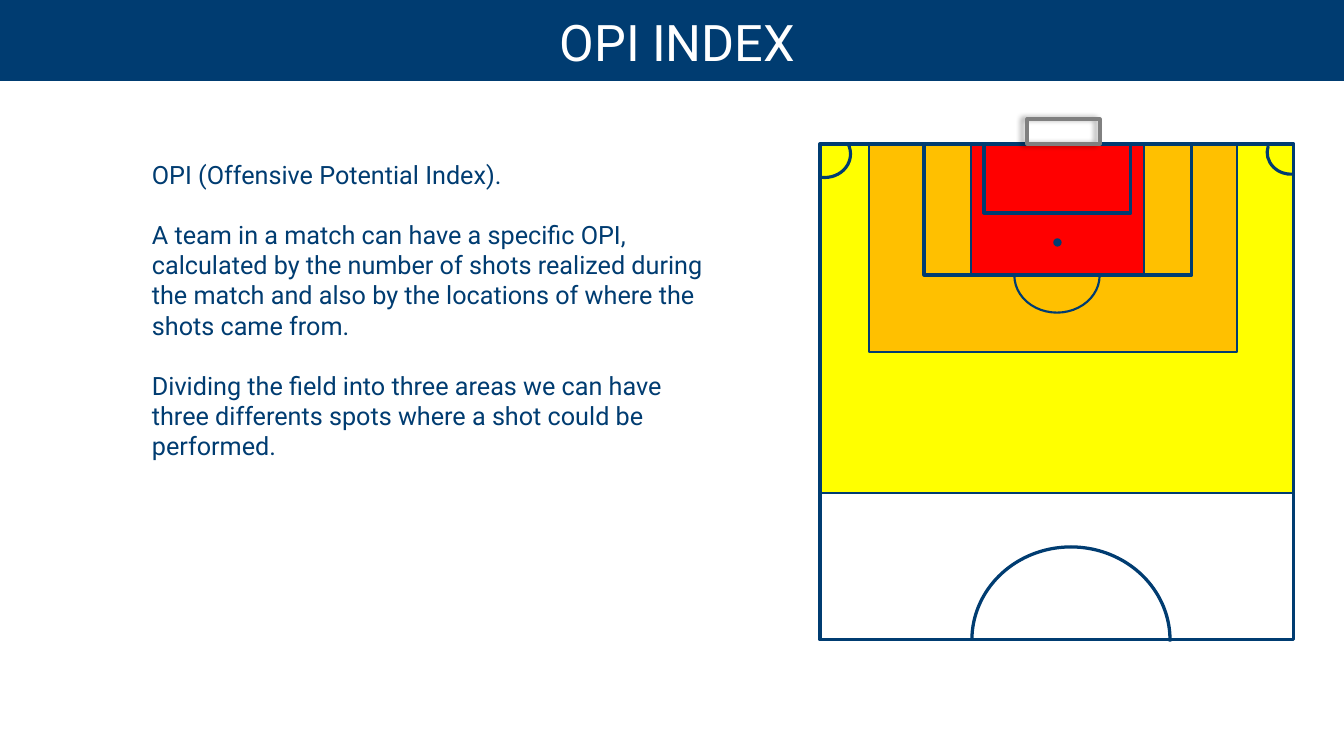
from dataclasses import dataclass

from lxml.etree import SubElement
from pptx import Presentation
from pptx.dml.color import RGBColor
from pptx.enum.shapes import MSO_SHAPE as Shape
from pptx.enum.text import MSO_ANCHOR as Anchor, PP_ALIGN as Align
from pptx.oxml.ns import qn
from pptx.util import Emu, Pt

EMU_PER_PX = 914400 / 100.8


@dataclass(frozen=True)
class Theme:
    font: str = "Roboto"
    title_size: float = 36
    body_size: float = 18
    thin: float = 1
    thick: float = 2.25
    navy: str = "003C71"
    white: str = "FFFFFF"
    low: str = "FFFF00"
    medium: str = "FFC000"
    high: str = "FF0000"
    goal: str = "808080"
    shadow: str = "000000"


THEME = Theme()


def px(length):
    return Emu(round(length * EMU_PER_PX))


def add_shape(slide, kind, box, fill=None, line=THEME.navy, width=THEME.thin,
              rotation=0, adjustments=()):
    shape = slide.shapes.add_shape(kind, *map(px, box))
    shape.shadow.inherit = False
    shape.rotation = rotation
    for index, value in enumerate(adjustments):
        shape.adjustments[index] = value
    if fill:
        shape.fill.solid()
        shape.fill.fore_color.rgb = RGBColor.from_string(fill)
    else:
        shape.fill.background()
    shape.line.color.rgb = RGBColor.from_string(line)
    shape.line.width = Pt(width)
    return shape


def add_text(slide, box, paragraphs, size, color, align=Align.LEFT,
             anchor=Anchor.TOP, line_spacing=1.0, gap=0):
    frame = slide.shapes.add_textbox(*map(px, box)).text_frame
    frame.word_wrap = True
    frame.vertical_anchor = anchor
    for index, text in enumerate(paragraphs):
        paragraph = frame.add_paragraph() if index else frame.paragraphs[0]
        paragraph.alignment = align
        paragraph.line_spacing = line_spacing
        if index:
            paragraph.space_before = Pt(gap)
        run = paragraph.add_run()
        run.text = text
        run.font.name = THEME.font
        run.font.size = Pt(size)
        run.font.color.rgb = RGBColor.from_string(color)


def add_left_shadow(shape):
    effects = shape._element.spPr.find(qn("a:effectLst"))
    shadow = SubElement(effects, qn("a:outerShdw"), blurRad=str(Pt(4)),
                        dist=str(Pt(3)), dir="10800000", rotWithShape="0")
    color = SubElement(shadow, qn("a:srgbClr"), val=THEME.shadow)
    SubElement(color, qn("a:alpha"), val="40000")


def add_half_circle(slide, box, rotation=0):
    add_shape(slide, Shape.BLOCK_ARC, box, fill=THEME.navy, rotation=rotation,
              adjustments=(108, 0.36, 0.01))


def add_corner(slide, box, rotation):
    add_shape(slide, Shape.ARC, box, width=THEME.thick, rotation=rotation,
              adjustments=(145.87, 0.75))


def add_field(slide):
    left, top, width = 820, 144, 474

    # Shot zones, from low to high potential
    for zone_left, zone_width, height, color in (
            (left, width, 349, THEME.low),
            (869, 368, 208, THEME.medium),
            (971, 173, 131, THEME.high)):
        add_shape(slide, Shape.RECTANGLE, (zone_left, top, zone_width, height), fill=color)

    # Field outline, penalty area and goal area
    for area_left, area_width, height in ((left, width, 496), (924, 268, 131), (984, 147, 69)):
        add_shape(slide, Shape.RECTANGLE, (area_left, top, area_width, height),
                  width=THEME.thick)

    # Centre circle, penalty arc and corners
    add_half_circle(slide, (971, 546, 200, 188))
    add_half_circle(slide, (1014, 238, 86, 75), rotation=180)
    add_corner(slide, (800, 127, 48, 53), rotation=95.8)
    add_corner(slide, (1267, 133, 45, 41), rotation=198)

    # Penalty spot and goal
    add_shape(slide, Shape.FLOWCHART_CONNECTOR, (1054, 239, 7, 7), fill=THEME.navy)
    goal = add_shape(slide, Shape.RECTANGLE, (1027, 119, 73, 25),
                     line=THEME.goal, width=THEME.thick)
    add_left_shadow(goal)


def main():
    presentation = Presentation()
    presentation.slide_width, presentation.slide_height = px(1344), px(756)
    slide = presentation.slides.add_slide(presentation.slide_layouts[6])

    # Title banner
    add_shape(slide, Shape.RECTANGLE, (0, 0, 1344, 80), fill=THEME.navy)
    add_text(slide, (31, 11, 1293, 69), ["OPI INDEX"], THEME.title_size, THEME.white,
             align=Align.CENTER, anchor=Anchor.MIDDLE, line_spacing=0.9)

    add_field(slide)

    # Explanation
    add_text(slide, (142, 154, 573, 315), [
        "OPI (Offensive Potential Index).",
        "A team in a match can have a specific OPI, calculated by the number of shots "
        "realized during the match and also by the locations of where the shots came from.",
        "Dividing the field into three areas we can have three differents spots where "
        "a shot could be performed.",
    ], THEME.body_size, THEME.navy, gap=21.5)

    presentation.save("out.pptx")


if __name__ == "__main__":
    main()
